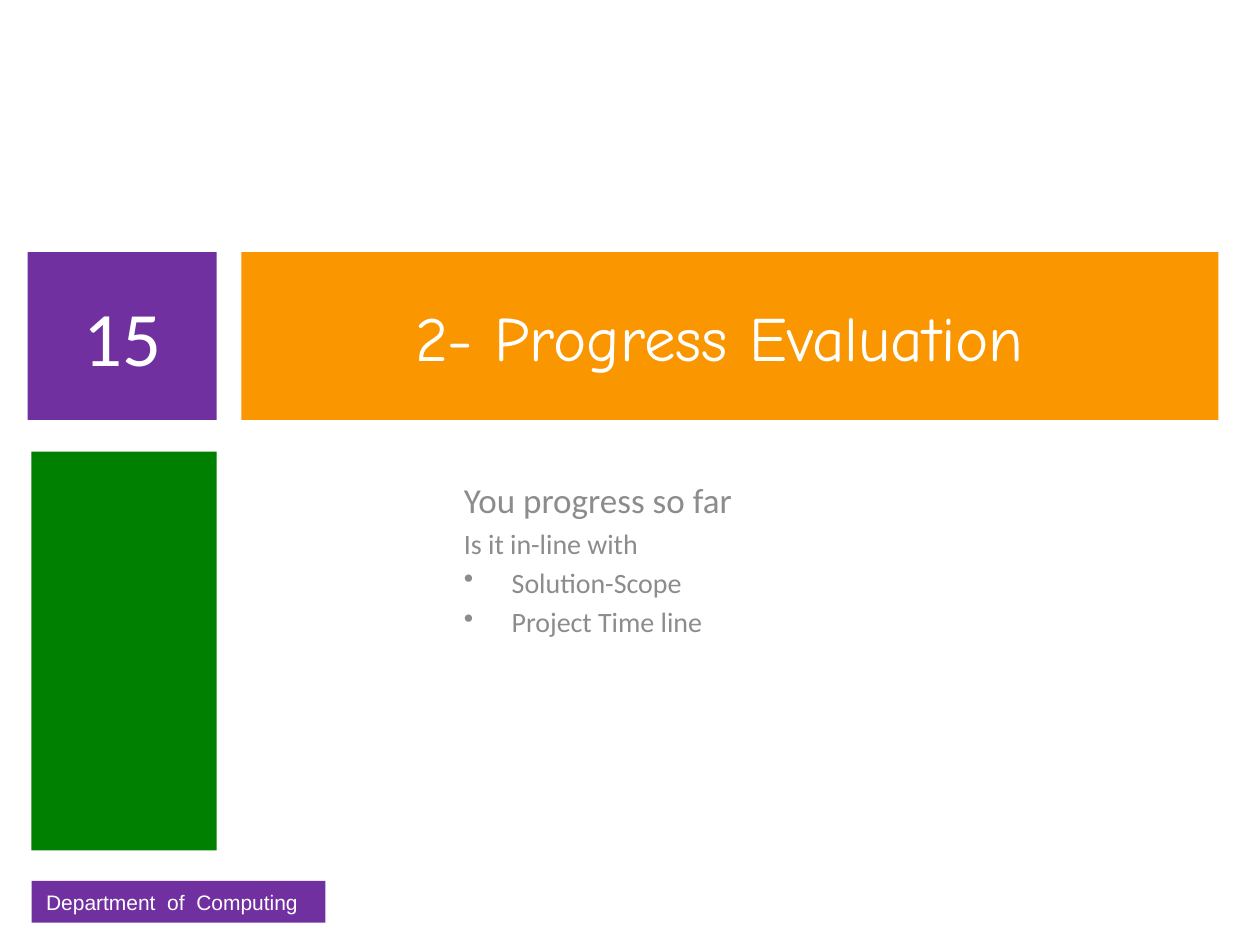
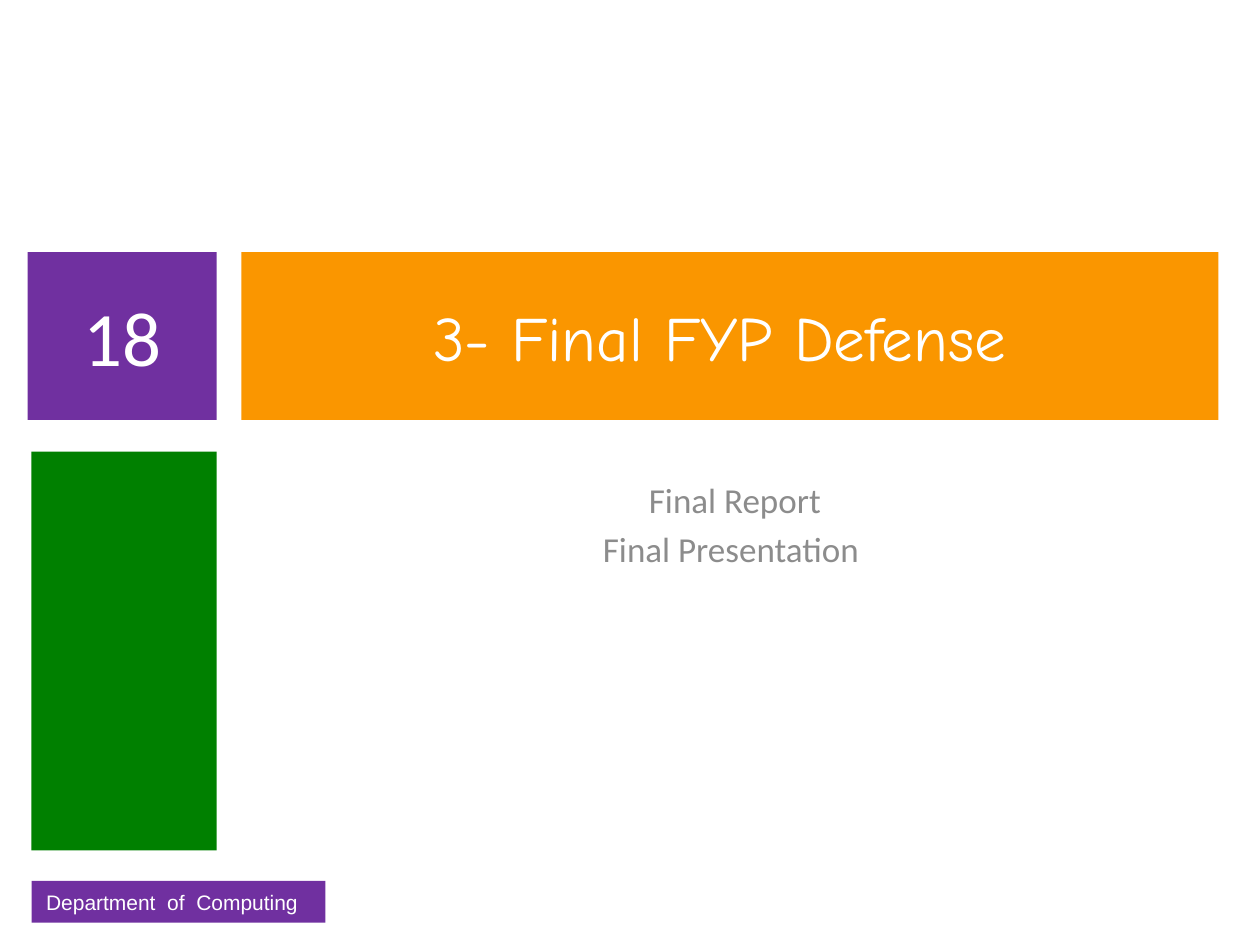
import pptx
import pptx.util
import pptx.dml.color
import pptx.enum.shapes
import pptx.enum.text
import pptx.oxml

Pt = pptx.util.Pt
RGB = pptx.dml.color.RGBColor
ALIGN = pptx.enum.text.PP_ALIGN
ANCHOR = pptx.enum.text.MSO_ANCHOR
RECT = pptx.enum.shapes.MSO_SHAPE.RECTANGLE

WHITE = RGB(0xFF, 0xFF, 0xFF)
GREY = RGB(0x8C, 0x8C, 0x8C)
GREEN = RGB(0x00, 0x80, 0x00)
ORANGE = RGB(0xFA, 0x96, 0x00)
PURPLE = RGB(0x70, 0x30, 0xA0)

# The slide is a grid of 120 columns and 90 rows.
CELL = pptx.util.Inches(10) // 120
HEAD = (2.64, 24, 113.4, 16)
SIDE = (3, 43, 17.64, 38)
FOOT = (3, 83.88, 28, 4)
BADGE = 18
GAP = 2.36
INDENT = pptx.util.Inches(0.38)

SLIDES = [
    dict(number="15", title="2- Progress Evaluation ",
         box=(43, 45, 53, 20), align=ALIGN.LEFT,
         lines=[("You progress so far", 20, False),
                ("Is it in-line with", 16, False),
                ("Solution-Scope", 16, True),
                ("Project Time line", 16, True)]),
    dict(number="18", title="3- Final FYP Defense ",
         box=(28, 45, 84, 20.5), align=ALIGN.CENTER,
         lines=[("Final Report", 20, False),
                ("Final Presentation ", 20, False)]),
]


def cells(box):
    return [round(part * CELL) for part in box]


def write(para, text, size, font="Calibri", color=WHITE, align=ALIGN.CENTER):
    para.alignment = align
    run = para.add_run()
    run.text = text
    run.font.size = Pt(size)
    run.font.name = font
    run.font.color.rgb = color


def paint(shape, color):
    shape.fill.solid()
    shape.fill.fore_color.rgb = color
    shape.line.fill.background()


def block(slide, box, color):
    shape = slide.shapes.add_shape(RECT, *cells(box))
    shape.shadow.inherit = False
    paint(shape, color)
    shape.text_frame.vertical_anchor = ANCHOR.MIDDLE
    return shape


def bullet(para):
    props = para._p.get_or_add_pPr()
    props.set("marL", str(INDENT))
    props.set("indent", str(-INDENT))
    mark = pptx.oxml.parse_xml(
        '<a:buChar xmlns:a="http://schemas.openxmlformats.org/drawingml/2006/main"'
        ' char="•"/>')
    props.append(mark)


def header(slide, box, number, title):
    """Place the number badge and the title band side by side in the box."""
    left, top, width, height = box
    badge = block(slide, (left, top, BADGE, height), PURPLE)
    write(badge.text_frame.paragraphs[0], number, 44)
    band = slide.shapes.title
    start = BADGE + GAP
    band.left, band.top, band.width, band.height = cells(
        (left + start, top, width - start, height))
    paint(band, ORANGE)
    frame = band.text_frame
    frame.auto_size = pptx.enum.text.MSO_AUTO_SIZE.NONE
    frame.vertical_anchor = ANCHOR.MIDDLE
    write(frame.paragraphs[0], title, 36, font="Comic Neue")


def body(slide, box, lines, align):
    frame = slide.shapes.add_textbox(*cells(box)).text_frame
    frame.word_wrap = True
    for index, (text, size, dotted) in enumerate(lines):
        para = frame.add_paragraph() if index else frame.paragraphs[0]
        para.space_before = Pt(size * 0.2)
        write(para, text, size, color=GREY, align=align)
        if dotted:
            bullet(para)


def footer(slide, box):
    frame = block(slide, box, PURPLE).text_frame
    frame.margin_right = pptx.util.Inches(0.2)
    write(frame.paragraphs[0], "Department  of  Computing", 12, font="Arial")


def section(deck, number, title, box, lines, align):
    slide = deck.slides.add_slide(deck.slide_layouts[5])
    block(slide, SIDE, GREEN)
    header(slide, HEAD, number, title)
    body(slide, box, lines, align)
    footer(slide, FOOT)


def main():
    deck = pptx.Presentation()
    deck.slide_width = 120 * CELL
    deck.slide_height = 90 * CELL
    for item in SLIDES:
        section(deck, **item)
    deck.save("out.pptx")


if __name__ == "__main__":
    main()
